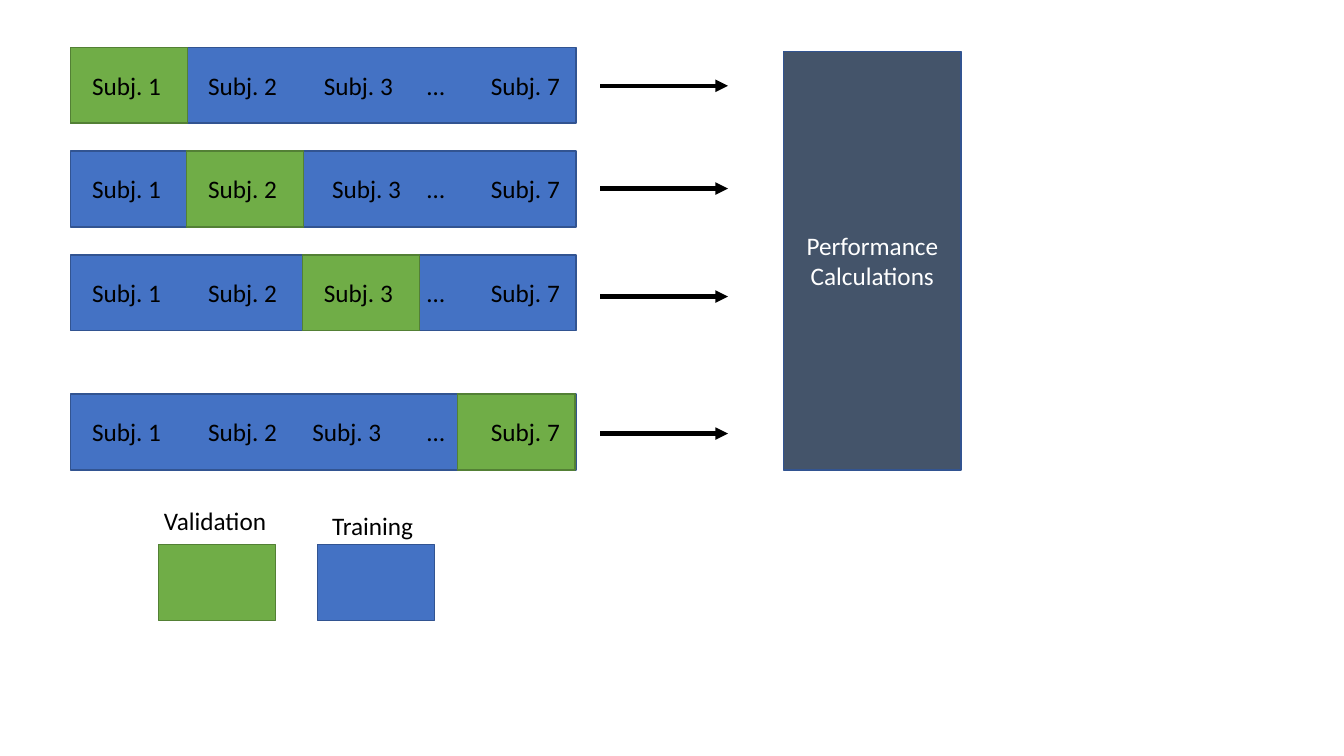
from dataclasses import dataclass

from lxml.etree import SubElement
from pptx import Presentation
from pptx.dml.color import RGBColor
from pptx.enum.shapes import MSO_CONNECTOR, MSO_SHAPE
from pptx.enum.text import MSO_ANCHOR, MSO_AUTO_SIZE, PP_ALIGN
from pptx.oxml.ns import qn
from pptx.shapes.autoshape import Shape
from pptx.slide import Slide
from pptx.text.text import TextFrame
from pptx.util import Inches, Length, Pt

COLORS = {
    "training": "4472C4", "training_edge": "325491",
    "validation": "70AD47", "validation_edge": "538035",
    "performance": "44546A", "performance_edge": "325491",
    "black": "000000", "white": "FFFFFF",
}
FONT = "Calibri"

# Grid: one column per subject, one row per fold (inches).
LEFT, COLUMN = 0.7, 1.15
TOP, ROW = 0.47, 1.03

# Sizes in columns and rows of the grid.
SUBJECT_WIDTH, BAR_WIDTH, BAR_HEIGHT = 1.01, 4.36, 0.73
LABEL_DROP, LABEL_HEIGHT = 0.17, 0.39
ARROW_START, ARROW_END = 4.57, 5.67


@dataclass(frozen=True)
class Area:
    """A rectangle in columns and rows of the grid."""
    column: float
    row: float
    columns: float
    rows: float

    def lengths(self) -> tuple[Length, Length, Length, Length]:
        """Return left, top, width and height on the page."""
        return (across(self.column), down(self.row),
                Inches(self.columns * COLUMN), Inches(self.rows * ROW))


@dataclass(frozen=True)
class Fold:
    """One cross-validation round with its held-out subject."""
    row: float
    held_out: float
    third_label: float
    arrow_row: float


@dataclass(frozen=True)
class Key:
    """One legend swatch with its caption."""
    caption: str
    role: str
    column: float
    caption_column: float
    caption_row: float
    caption_width: float


FOLDS = [
    Fold(0, 0, 2.1, 0.37),
    Fold(1, 1, 2.17, 1.36),
    Fold(2, 2, 2.1, 2.4),
    Fold(3.34, 3.34, 2, 3.72),
]
KEYS = [
    Key("Validation", "validation", 0.76, 0.72, 4.36, 1.1),
    Key("Training", "training", 2.13, 2.17, 4.41, 1.01),
]
KEY_ROW = 4.79
PERFORMANCE = Area(6.15, 0.04, 1.53, 4.03)


def across(column: float) -> Length:
    """Turn a grid column into a distance from the left."""
    return Inches(LEFT + column * COLUMN)


def down(row: float) -> Length:
    """Turn a grid row into a distance from the top."""
    return Inches(TOP + row * ROW)


def color(name: str) -> RGBColor:
    """Look up a named colour."""
    return RGBColor.from_string(COLORS[name])


def write(frame: TextFrame, text: str, ink: str, align: PP_ALIGN) -> None:
    """Write one run of text into a frame."""
    frame.word_wrap = True
    para = frame.paragraphs[0]
    para.alignment = align
    span = para.add_run()
    span.text = text
    span.font.name = FONT
    span.font.size = Pt(18)
    span.font.color.rgb = color(ink)


def add_block(page: Slide, area: Area, role: str) -> Shape:
    """Draw a rectangle in the colours of its role."""
    block = page.shapes.add_shape(MSO_SHAPE.RECTANGLE, *area.lengths())
    block.shadow.inherit = False
    block.fill.solid()
    block.fill.fore_color.rgb = color(role)
    block.line.color.rgb = color(f"{role}_edge")
    block.line.width = Pt(1)
    return block


def add_label(page: Slide, text: str, column: float, row: float,
              columns: float) -> None:
    """Place a black, left-aligned label."""
    area = Area(column, row, columns, LABEL_HEIGHT)
    box = page.shapes.add_textbox(*area.lengths())
    box.text_frame.auto_size = MSO_AUTO_SIZE.SHAPE_TO_FIT_TEXT
    write(box.text_frame, text, "black", PP_ALIGN.LEFT)


def add_arrow(page: Slide, row: float) -> None:
    """Draw an arrow from a fold towards the performance panel."""
    arrow = page.shapes.add_connector(
        MSO_CONNECTOR.STRAIGHT,
        across(ARROW_START), down(row), across(ARROW_END), down(row))
    arrow.line.color.rgb = color("black")
    arrow.line.width = Pt(3)
    SubElement(arrow.line._get_or_add_ln(), qn("a:tailEnd"), type="triangle")
    SubElement(arrow._element.spPr, qn("a:effectLst"))


def add_fold(page: Slide, fold: Fold) -> None:
    """Draw a fold: training bar, held-out subject, labels and arrow."""
    add_block(page, Area(0, fold.row, BAR_WIDTH, BAR_HEIGHT), "training")
    add_block(page, Area(fold.held_out, fold.row, SUBJECT_WIDTH, BAR_HEIGHT),
              "validation")
    labels = [
        ("Subj. 1", 0.1, 0.81),
        ("Subj. 2", 1.1, 0.81),
        ("Subj. 3", fold.third_label, 0.81),
        ("…", 2.99, 0.45),
        ("Subj. 7", 3.54, 0.9),
    ]
    for text, column, columns in labels:
        add_label(page, text, column, fold.row + LABEL_DROP, columns)
    add_arrow(page, fold.arrow_row)


def add_key(page: Slide, key: Key) -> None:
    """Draw a legend swatch and its caption."""
    add_block(page, Area(key.column, KEY_ROW, SUBJECT_WIDTH, BAR_HEIGHT),
              key.role)
    add_label(page, key.caption, key.caption_column, key.caption_row,
              key.caption_width)


def add_performance(page: Slide) -> None:
    """Draw the panel that collects the results of all folds."""
    panel = add_block(page, PERFORMANCE, "performance")
    panel.text_frame.vertical_anchor = MSO_ANCHOR.MIDDLE
    write(panel.text_frame, "Performance Calculations", "white",
          PP_ALIGN.CENTER)


deck = Presentation()
deck.slide_width, deck.slide_height = Inches(13.33), Inches(7.5)
page = deck.slides.add_slide(deck.slide_layouts[6])
for fold in FOLDS:
    add_fold(page, fold)
add_performance(page)
for key in KEYS:
    add_key(page, key)
deck.save("out.pptx")
